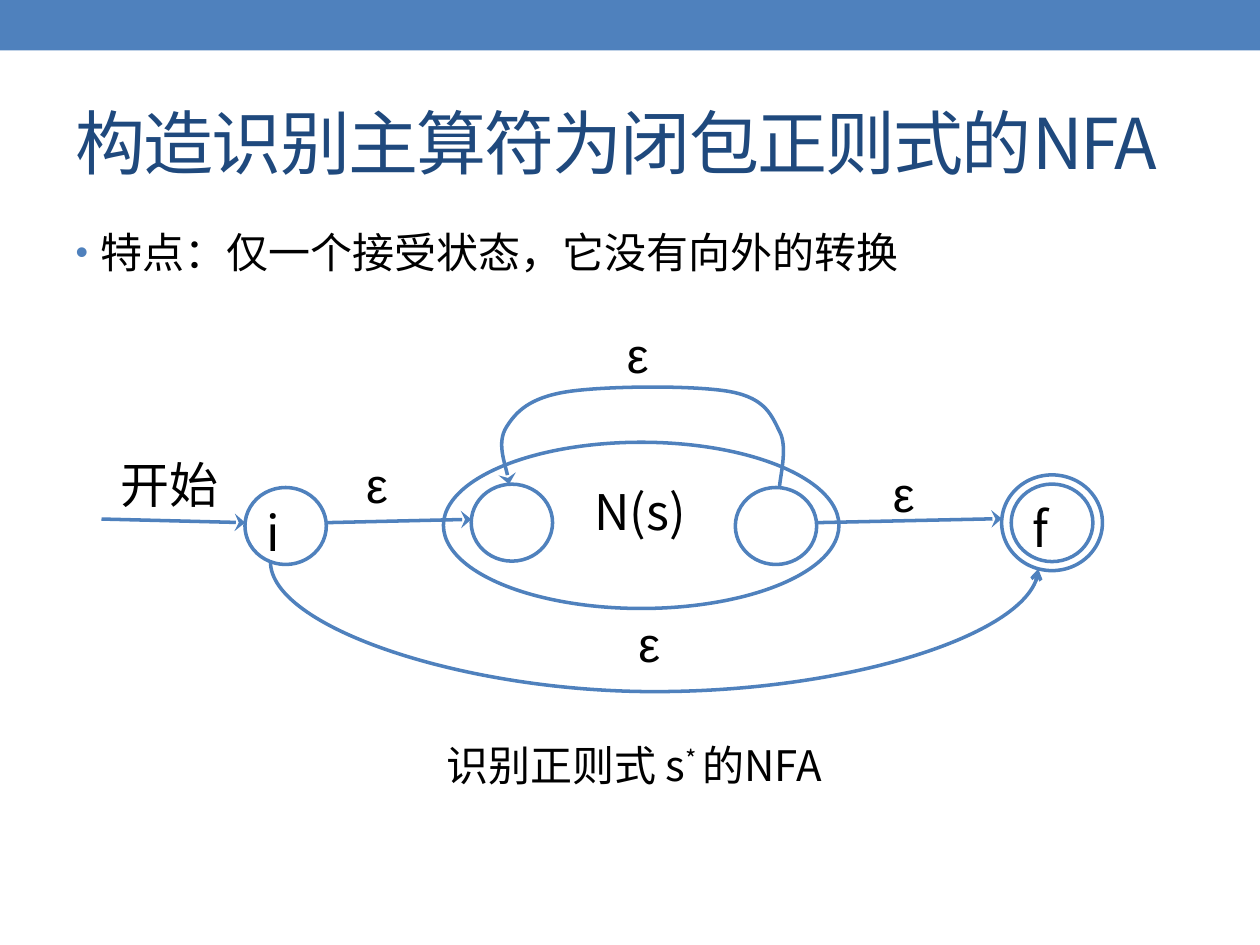
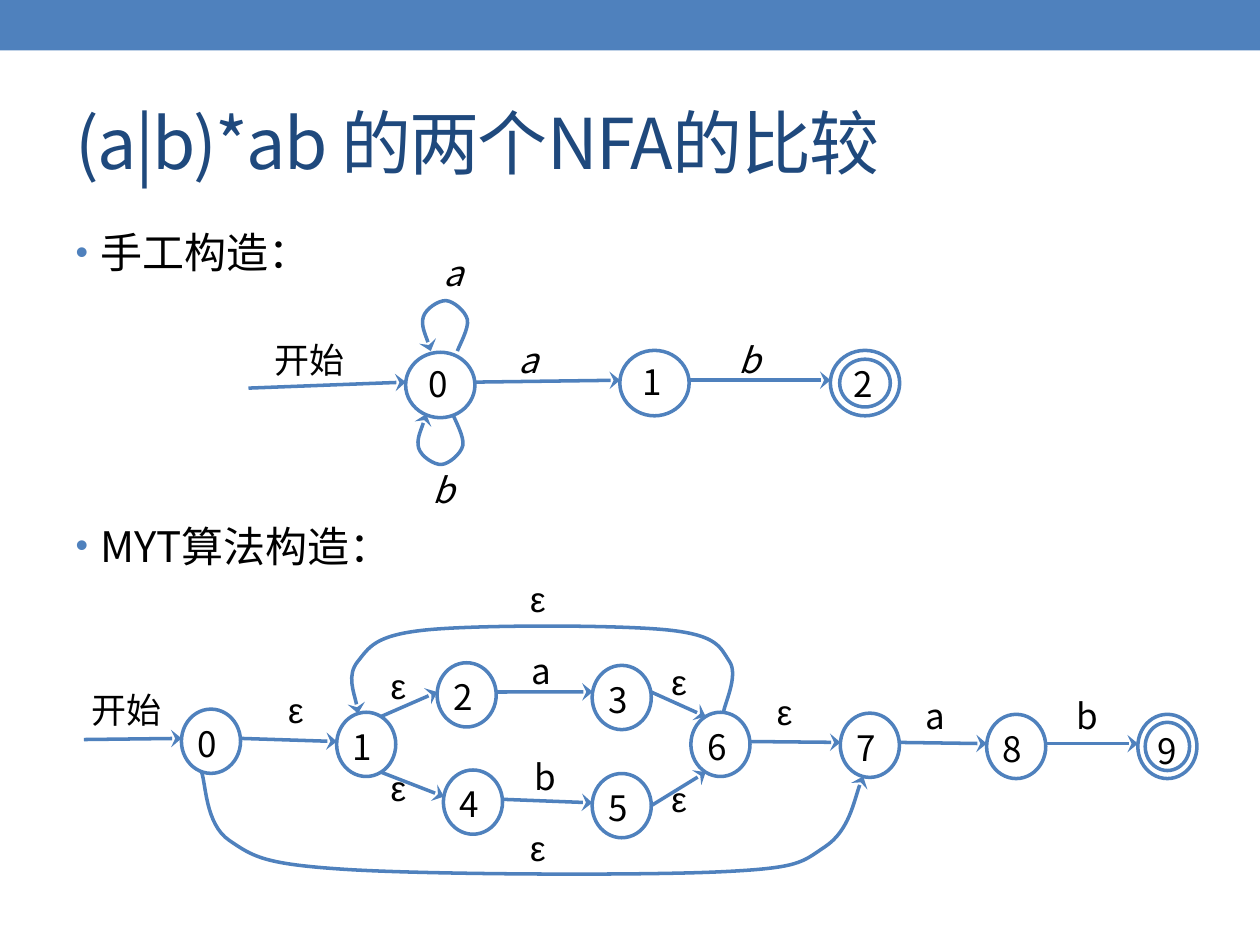
"""Builds two slides on constructing NFAs from regular expressions."""
from dataclasses import dataclass, field
from math import cos, radians, sin

from lxml import etree
from pptx import Presentation
from pptx import util as u
from pptx.dml.color import RGBColor
from pptx.enum import shapes, text
from pptx.oxml import ns

COLORS = {"line": "4F81BD", "title": "1F497D", "text": "000000"}
SANS, GREEK = "Noto Sans CJK SC", "Arial"
TITLE_BOX = (36, 42, 648, 78)
BODY_BOX = (36, 126, 648, 384)
BAND_HEIGHT = 28.8
BULLET_INDENT = u.Pt(14.4)
TOP, MIDDLE = text.MSO_ANCHOR.TOP, text.MSO_ANCHOR.MIDDLE
LEAVE, ARRIVE = 5, 175


def color(key):
    """Return a palette colour."""
    return RGBColor.from_string(COLORS[key])


def apply(target, values):
    """Set every attribute in a dict of format values."""
    for name, value in values.items():
        setattr(target, name, value)


def add_xml(parent, tag, **attributes):
    """Append a DrawingML element."""
    return etree.SubElement(parent, ns.qn(tag), attributes)


def add_run(paragraph, words, size, key="text", font=SANS, italic=None, **properties):
    """Add a run in one font for Latin and East Asian characters."""
    run = paragraph.add_run()
    run.text = words
    apply(run.font, {"size": u.Pt(size), "name": font, "italic": italic})
    run.font.color.rgb = color(key)
    run_properties = run._r.get_or_add_rPr()
    add_xml(run_properties, "a:ea", typeface=font)
    for name, value in properties.items():
        run_properties.set(name, value)


def set_frame(frame, inset, anchor=TOP):
    """Set wrapping, anchor and the left, top, right and bottom insets."""
    sides = ("margin_left", "margin_top", "margin_right", "margin_bottom")
    apply(frame, {"word_wrap": True, "vertical_anchor": anchor,
                  **dict(zip(sides, map(u.Pt, inset)))})


def outline(shape):
    """Give a shape or connector the common line."""
    shape.line.color.rgb = color("line")
    shape.line.width = u.Pt(2)


def make_hollow(shape):
    """Leave only the outline of a shape."""
    shape.shadow.inherit = False
    shape.fill.background()
    outline(shape)


def add_arrowhead(shape, **head):
    """Put an arrowhead on the far end of a line."""
    add_xml(shape.element.find(".//" + ns.qn("a:ln")), "a:tailEnd", **head)


def smooth_controls(stops):
    """Yield two controls and an end for each part of a Catmull-Rom spline."""
    padded = [stops[0], *stops, stops[-1]]
    for before, start, end, after in zip(padded, padded[1:], padded[2:], padded[3:]):
        yield tuple(s + (e - b) / 6 for b, s, e in zip(before, start, end))
        yield tuple(e - (a - s) / 6 for s, e, a in zip(start, end, after))
        yield end


@dataclass
class State:
    """The ellipse of one state."""

    x: float
    y: float
    width: float
    height: float

    def rim(self, angle, dx=0, dy=0):
        """Return the rim point at an anticlockwise angle from the right."""
        turn = radians(angle)
        return (self.x + self.width / 2 * (1 + cos(turn)) + dx,
                self.y + self.height / 2 * (1 - sin(turn)) + dy)

    def center(self):
        """Return the middle of the state."""
        return self.x + self.width / 2, self.y + self.height / 2


@dataclass
class Diagram:
    """A state diagram drawn relative to its top left corner."""

    slide: object
    left: float
    top: float
    size: int
    state_size: tuple
    state_inset: tuple
    label_inset: tuple = (4.3, 2, 4.3, 2)
    anchor: object = TOP
    states: dict = field(default_factory=dict)

    def point(self, x, y):
        """Turn a point of the diagram into a slide position."""
        return u.Pt(self.left + x), u.Pt(self.top + y)

    def ellipse(self, x, y, width, height):
        """Draw a hollow ellipse."""
        oval = self.slide.shapes.add_shape(
            shapes.MSO_SHAPE.OVAL, *self.point(x, y), u.Pt(width), u.Pt(height))
        make_hollow(oval)
        return oval

    def name_state(self, oval, name, inset):
        """Write the name inside a state."""
        set_frame(oval.text_frame, inset, self.anchor)
        paragraph = oval.text_frame.paragraphs[0]
        paragraph.alignment = text.PP_ALIGN.LEFT
        add_run(paragraph, name, self.size)

    def add_state(self, name, x, y, named=True):
        """Draw a state and remember it by name."""
        self.states[name] = State(x, y, *self.state_size)
        oval = self.ellipse(x, y, *self.state_size)
        if named:
            self.name_state(oval, name, self.state_inset)

    def add_accepting(self, name, x, y, outer, ratio, inset):
        """Draw an accepting state as two rings around one centre."""
        self.states[name] = State(x, y, *outer)
        self.ellipse(x, y, *outer)
        margins = [side * (1 - ratio) / 2 for side in outer]
        inner = self.ellipse(x + margins[0], y + margins[1], *(side * ratio for side in outer))
        self.name_state(inner, name, inset)

    def label(self, words, x, y, italic=None):
        """Write a label in a box sized from its text."""
        width, height = self.size * (1.2 * len(words) + 0.6), self.size * 1.5
        box = self.slide.shapes.add_textbox(*self.point(x, y), u.Pt(width), u.Pt(height))
        set_frame(box.text_frame, self.label_inset)
        font = GREEK if words == "ε" else SANS
        add_run(box.text_frame.paragraphs[0], words, self.size, font=font, italic=italic)

    def connect(self, kind, start, end, **head):
        """Draw a connector with an arrowhead."""
        edge = self.slide.shapes.add_connector(kind, *self.point(*start), *self.point(*end))
        outline(edge)
        add_arrowhead(edge, **head)
        add_xml(edge.element.spPr, "a:effectLst")
        return edge

    def arrow(self, start, end):
        """Draw a straight transition."""
        self.connect(shapes.MSO_CONNECTOR.STRAIGHT, start, end,
                     type="stealth", w="lg", len="med")

    def begin(self, target, x, y, label_at):
        """Draw the entry arrow and its label."""
        self.arrow((x, y), self.states[target].rim(ARRIVE))
        self.label("开始", *label_at)

    def transition(self, source, target, symbol, label_at,
                   leave=LEAVE, arrive=ARRIVE, italic=None):
        """Join two states at rim angles and write the symbol."""
        self.arrow(self.states[source].rim(leave), self.states[target].rim(arrive))
        self.label(symbol, *label_at, italic=italic)

    def curve(self, stops):
        """Draw a smooth transition through the given stops."""
        builder = self.slide.shapes.build_freeform(*self.point(*stops[0]))
        builder.add_line_segments(
            [self.point(*control) for control in smooth_controls(stops)], close=False)
        bend = builder.convert_to_shape()
        make_hollow(bend)
        add_arrowhead(bend, type="stealth", w="lg", len="med")
        route = bend.element.find(".//" + ns.qn("a:path"))
        corners = route.findall(ns.qn("a:lnTo"))
        for first in range(0, len(corners), 3):
            cubic = add_xml(route, "a:cubicBezTo")
            for corner in corners[first:first + 3]:
                cubic.append(corner[0])
                route.remove(corner)

    def sag(self, start, end, drop):
        """Draw a curved connector hanging below its two ends."""
        (x1, y1), (x2, y2) = start, end
        mid_x, mid_y = (x1 + x2) / 2, (y1 + y2) / 2
        half_w, half_h = (y2 - y1) / 2, (x2 - x1) / 2
        edge = self.connect(shapes.MSO_CONNECTOR.CURVE, (mid_x - half_w, mid_y + half_h),
                            (mid_x + half_w, mid_y - half_h), type="arrow")
        edge.element.spPr.find(ns.qn("a:xfrm")).set("rot", "5400000")
        geometry = edge.element.spPr.find(ns.qn("a:prstGeom"))
        guides = geometry.find(ns.qn("a:avLst"))
        if guides is None:
            guides = add_xml(geometry, "a:avLst")
        add_xml(guides, "a:gd", name="adj1", fmla=f"val {round(drop / (y2 - y1) * 100000)}")


def add_band(prs, slide):
    """Put the top band on the slide master."""
    band = slide.shapes.add_shape(
        shapes.MSO_SHAPE.RECTANGLE, 0, 0, prs.slide_width, u.Pt(BAND_HEIGHT))
    band.shadow.inherit = False
    band.fill.solid()
    band.fill.fore_color.rgb = color("line")
    band.line.fill.background()
    prs.slide_master.shapes.element.insert(2, band.element)


def add_bullet(item, words, gap):
    """Write one bulleted paragraph."""
    properties = item._p.get_or_add_pPr()
    properties.set("marL", str(BULLET_INDENT))
    properties.set("indent", str(-BULLET_INDENT))
    add_xml(add_xml(properties, "a:buClr"), "a:srgbClr", val=COLORS["line"])
    add_xml(properties, "a:buSzPct", val="85000")
    add_xml(properties, "a:buChar", char="•")
    item.space_before = u.Pt(gap)
    add_run(item, words, 24)


def add_slide(prs, heading, points, gap=0):
    """Add a slide with a title and a bulleted list."""
    slide = prs.slides.add_slide(prs.slide_layouts[1])
    title, body = slide.shapes.title, slide.placeholders[1]
    for holder, box, anchor in ((title, TITLE_BOX, MIDDLE), (body, BODY_BOX, TOP)):
        apply(holder, dict(zip(("left", "top", "width", "height"), map(u.Pt, box))))
        apply(holder.text_frame, {"auto_size": text.MSO_AUTO_SIZE.NONE,
                                  "vertical_anchor": anchor})
    line = title.text_frame.paragraphs[0]
    line.alignment = text.PP_ALIGN.LEFT
    add_run(line, heading, 40, "title", spc="-100")
    add_bullet(body.text_frame.paragraphs[0], points[0], 0)
    for point in points[1:]:
        add_bullet(body.text_frame.add_paragraph(), point, gap)
    return slide


def draw_closure(slide, left, top):
    """Draw the NFA for the closure of s with its caption."""
    inset = (5.5, 2, 1.4, 3.6)
    nfa = Diagram(slide, left, top, 28, (46.5, 44), inset, (6.3, 2.5, 7, 3.6))
    nfa.ellipse(195.4, 69.7, 226, 95)
    nfa.label("N(s)", 275.5, 89.5)
    nfa.add_state("i", 82, 95.6)
    nfa.add_state("entry", 211.3, 93.7, named=False)
    nfa.add_state("exit", 362.2, 95.6, named=False)
    nfa.add_accepting("f", 514.4, 88.4, (57.6, 54.7), 0.81, inset)
    nfa.begin("i", 0, 113.6, (4.5, 74))
    nfa.transition("i", "entry", "ε", (145, 74))
    nfa.transition("exit", "f", "ε", (446, 79.5))
    nfa.curve([nfa.states["exit"].rim(85), (387.7, 64), (359.6, 40.9),
               (266, 40.9), (231.4, 61.1), nfa.states["entry"].rim(94)])
    nfa.label("ε", 294, 0)
    nfa.sag(nfa.states["i"].rim(248), nfa.states["f"].rim(254), 74)
    nfa.label("ε", 300.5, 165)
    caption = slide.shapes.add_textbox(*nfa.point(190, 236), u.Pt(238.3), u.Pt(36))
    caption.text_frame.word_wrap = True
    line = caption.text_frame.paragraphs[0]
    add_run(line, "识别正则式 s", 24)
    add_run(line, "* ", 24, baseline="30000")
    add_run(line, "的NFA", 24)


def draw_manual(slide, left, top):
    """Draw the hand-made NFA with three states."""
    nfa = Diagram(slide, left, top, 20, (39.6, 37.4), (7, 2, 1.4, 3.6), anchor=MIDDLE)
    nfa.add_state("0", 89.8, 59.3)
    nfa.add_state("1", 212.2, 58.2)
    nfa.add_accepting("2", 332.5, 58.2, (39.6, 37.4), 0.73, (3.6, 0, 0.7, 0))
    nfa.begin("0", 0, 79.8, (10.6, 49.5))
    nfa.transition("0", "1", "a", (150, 49.5), italic=True)
    nfa.transition("1", "2", "b", (275.6, 49.5), italic=True)
    center_x, center_y = nfa.states["0"].center()
    loop = [(9.8, 18), (15.5, 36), (3.3, 46.8), (-9.7, 37.5), (-5.4, 18)]
    loops = (("a", -1, 0, (107, 0)), ("b", 1, -2.6, (100.6, 123.5)))
    for symbol, side, shift, label_at in loops:
        nfa.curve([(center_x + x + shift, center_y - 1.4 + side * y) for x, y in loop])
        nfa.label(symbol, *label_at, italic=True)


def draw_algorithm(slide, left, top):
    """Draw the NFA with ten states built by the algorithm."""
    nfa = Diagram(slide, left, top, 20, (33.8, 36.7), (4.3, 2, 1.4, 3.6))
    places = ((55.7, 77.2), (144.4, 79), (201.8, 50.7), (290.4, 52.2), (205.4, 112),
              (290.4, 114), (346.8, 79), (432.2, 79.5), (515.8, 80.2))
    for number, place in enumerate(places):
        nfa.add_state(str(number), *place)
    nfa.add_accepting("9", 602.2, 80.2, (33.8, 36.7), 0.75, (3.6, 0, 0.7, 0))
    nfa.begin("0", 0, 94.6, (0, 63.5))
    transitions = (("0", "1", "ε", (112.4, 63.7)),
                   ("1", "2", "ε", (171, 49.5), 60),
                   ("1", "4", "ε", (171, 108), 300, 170),
                   ("2", "3", "a", (251.5, 41.4), LEAVE, 170),
                   ("4", "5", "b", (253, 102)),
                   ("3", "6", "ε", (331.4, 47.3), 10, 120),
                   ("5", "6", "ε", (331.4, 114), 0, 240),
                   ("6", "7", "ε", (391.6, 64.4)),
                   ("7", "8", "a", (476.6, 67)),
                   ("8", "9", "b", (562.6, 67)))
    for transition in transitions:
        nfa.transition(*transition)
    nfa.curve([nfa.states["6"].rim(84), (368.9, 50), (333.6, 32),
               (195.4, 32), (156.5, 50), nfa.states["1"].rim(106)])
    nfa.label("ε", 250.6, 0)
    nfa.curve([nfa.states["0"].rim(251), (83, 152.2), (149.3, 168.8),
               (363.8, 170.2), (423.6, 155.8), nfa.states["7"].rim(257)])
    nfa.label("ε", 250.6, 142.4)


def main():
    """Build and save the presentation."""
    prs = Presentation()
    prs.slide_width, prs.slide_height = u.Pt(720), u.Pt(540)
    closure = add_slide(prs, "构造识别主算符为闭包正则式的NFA",
                        ["特点：仅一个接受状态，它没有向外的转换"])
    add_band(prs, closure)
    draw_closure(closure, 58, 183)
    comparison = add_slide(prs, "(a|b)*ab 的两个NFA的比较",
                           ["手工构造：", "MYT算法构造："], gap=139)
    draw_manual(comparison, 142, 142)
    draw_algorithm(comparison, 48, 328)
    prs.save("out.pptx")


if __name__ == "__main__":
    main()
